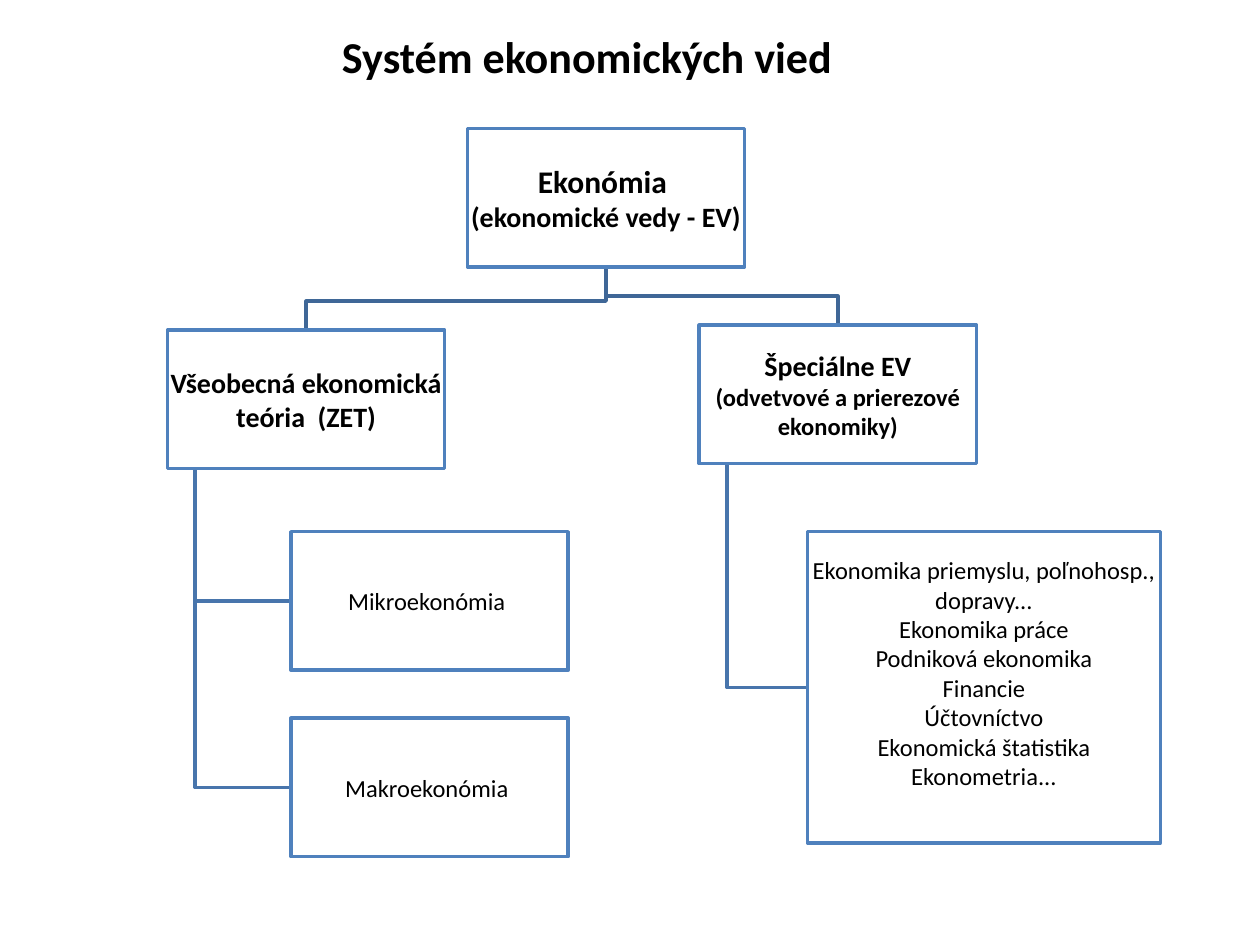
from pptx import Presentation
from pptx.dml.color import RGBColor
from pptx.enum.shapes import MSO_SHAPE
from pptx.enum.text import MSO_ANCHOR, PP_ALIGN
from pptx.util import Inches, Pt

RECT = MSO_SHAPE.RECTANGLE
MIDDLE = MSO_ANCHOR.MIDDLE
CENTER = PP_ALIGN.CENTER

BLACK = RGBColor(0x00, 0x00, 0x00)
WHITE = RGBColor(0xFF, 0xFF, 0xFF)
BLUE = RGBColor(0x4F, 0x81, 0xBD)
UPPER = RGBColor(0x3F, 0x67, 0x97)
LOWER = RGBColor(0x48, 0x75, 0xAC)

FONT = "Calibri"
WIDTH, HEIGHT = 2.2, 1.1
DROP = 0.23    # from the bend of an upper link to the child
INDENT = 0.22  # from the left edge of a parent to its trunk


def write(shape, lines, bold):
    """Fill a shape with centred (text, size) paragraphs."""
    frame = shape.text_frame
    frame.word_wrap = True
    frame.vertical_anchor = MIDDLE
    frame.text = "\n".join(text for text, size in lines)
    for para, (text, size) in zip(frame.paragraphs, lines):
        para.alignment = CENTER
        for run in para.runs:
            run.font.name = FONT
            run.font.size = Pt(size)
            run.font.bold = bold
            run.font.color.rgb = BLACK


def add_title(slide, text):
    box = slide.shapes.add_textbox(Inches(0.16), Inches(0.16),
                                   Inches(9), Inches(0.56))
    write(box, [(text, 25.2)], True)


def add_box(slide, area, lines, bold=False, foot=0.01):
    box = slide.shapes.add_shape(RECT, *map(Inches, area))
    box.shadow.inherit = False
    box.fill.solid()
    box.fill.fore_color.rgb = WHITE
    box.line.color.rgb = BLUE
    box.line.width = Pt(2)
    frame = box.text_frame
    frame.margin_left = frame.margin_right = frame.margin_top = Inches(0.01)
    frame.margin_bottom = Inches(foot)
    write(box, lines, bold)


def add_path(slide, points, color):
    """Draw an open bent line through points given in inches."""
    spots = [(Inches(x), Inches(y)) for x, y in points]
    pen = slide.shapes.build_freeform(*spots[0])
    pen.add_line_segments(spots[1:], close=False)
    path = pen.convert_to_shape()
    path.shadow.inherit = False
    path.fill.background()
    path.line.color.rgb = color
    path.line.width = Pt(2)


def add_fork(slide, upper, lower):
    """Link the bottom centre of one box to the top centre of another."""
    x1, y1 = upper[0] + upper[2] / 2, upper[1] + upper[3]
    x2, y2 = lower[0] + lower[2] / 2, lower[1]
    bend = y2 - DROP
    add_path(slide, [(x1, y1), (x1, bend), (x2, bend), (x2, y2)], UPPER)


def add_elbow(slide, upper, lower):
    """Link the underside of one box to the left side of another."""
    x = upper[0] + INDENT
    y = lower[1] + lower[3] / 2
    add_path(slide, [(x, upper[1] + upper[3]), (x, y), (lower[0], y)], LOWER)


def main():
    prs = Presentation()
    prs.slide_width, prs.slide_height = Inches(10), Inches(7.5)
    slide = prs.slides.add_slide(prs.slide_layouts[6])
    add_title(slide, "Systém ekonomických vied")

    # Places of the boxes
    root = (3.71, 1.02, WIDTH, HEIGHT)
    theory = (1.33, 2.62, WIDTH, HEIGHT)
    micro = (2.31, 4.22, WIDTH, HEIGHT)
    macro = (2.31, 5.7, WIDTH, HEIGHT)
    special = (5.55, 2.58, WIDTH, HEIGHT)
    fields = (6.41, 4.22, 2.8, 2.47)

    # Links, behind the boxes
    add_elbow(slide, special, fields)
    add_fork(slide, root, special)
    add_elbow(slide, theory, macro)
    add_elbow(slide, theory, micro)
    add_fork(slide, root, theory)

    # Main branches
    add_box(slide, root, [("Ekonómia ", 18),
                          ("(ekonomické vedy - EV)", 16)], True)
    add_box(slide, theory, [("Všeobecná ekonomická teória  (ZET)", 16)], True)
    add_box(slide, special, [("Špeciálne EV", 16),
                             ("(odvetvové a prierezové ekonomiky)", 14)], True)

    # Lower level
    add_box(slide, micro, [("Mikroekonómia ", 14)])
    add_box(slide, macro, [("Makroekonómia ", 14)])
    names = ["Ekonomika priemyslu, poľnohosp., dopravy...",
             "Ekonomika práce", "Podniková ekonomika", "Financie",
             "Účtovníctvo", "Ekonomická štatistika", "Ekonometria..."]
    add_box(slide, fields, [(name, 14) for name in names], foot=0.24)

    prs.save("out.pptx")


if __name__ == "__main__":
    main()
